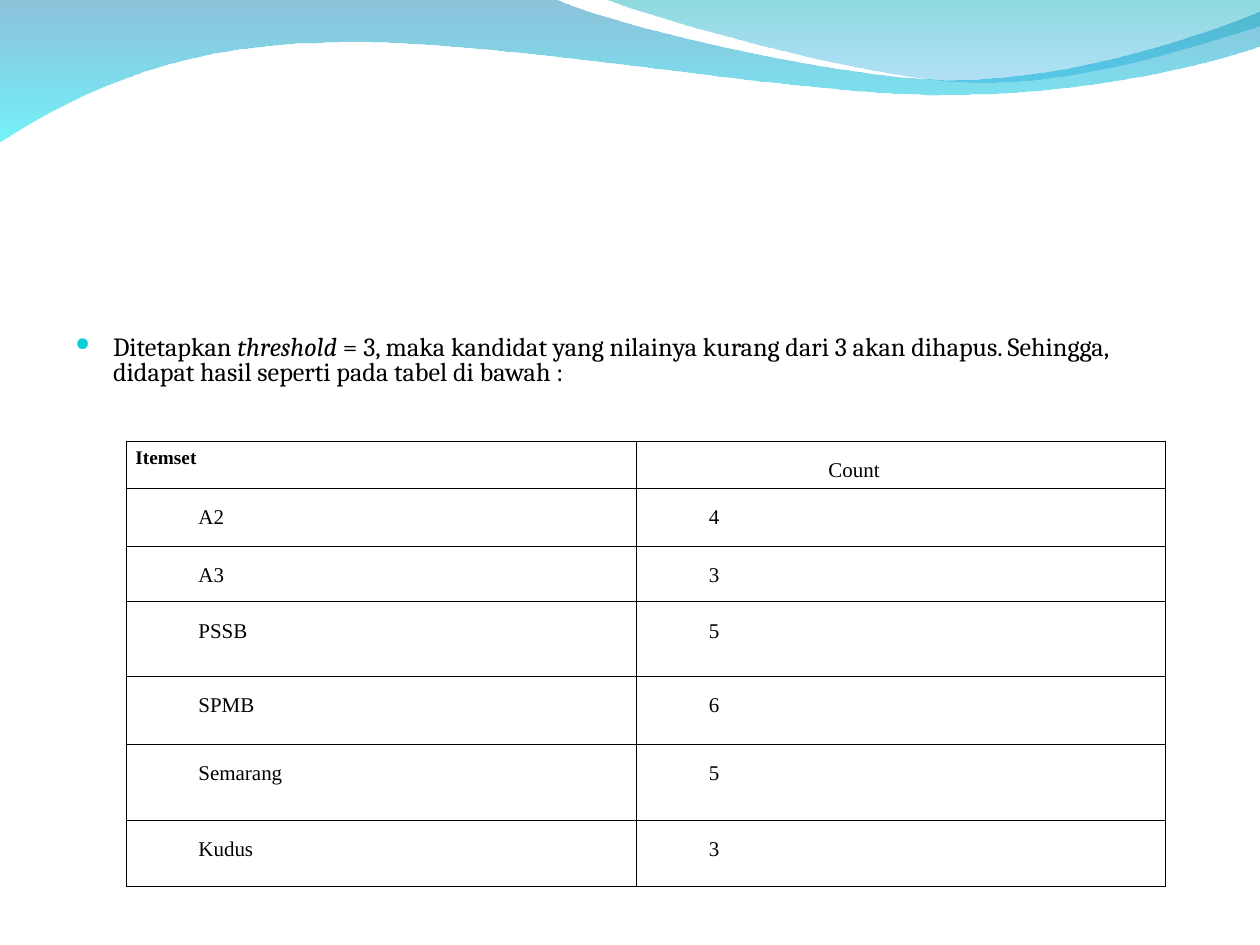
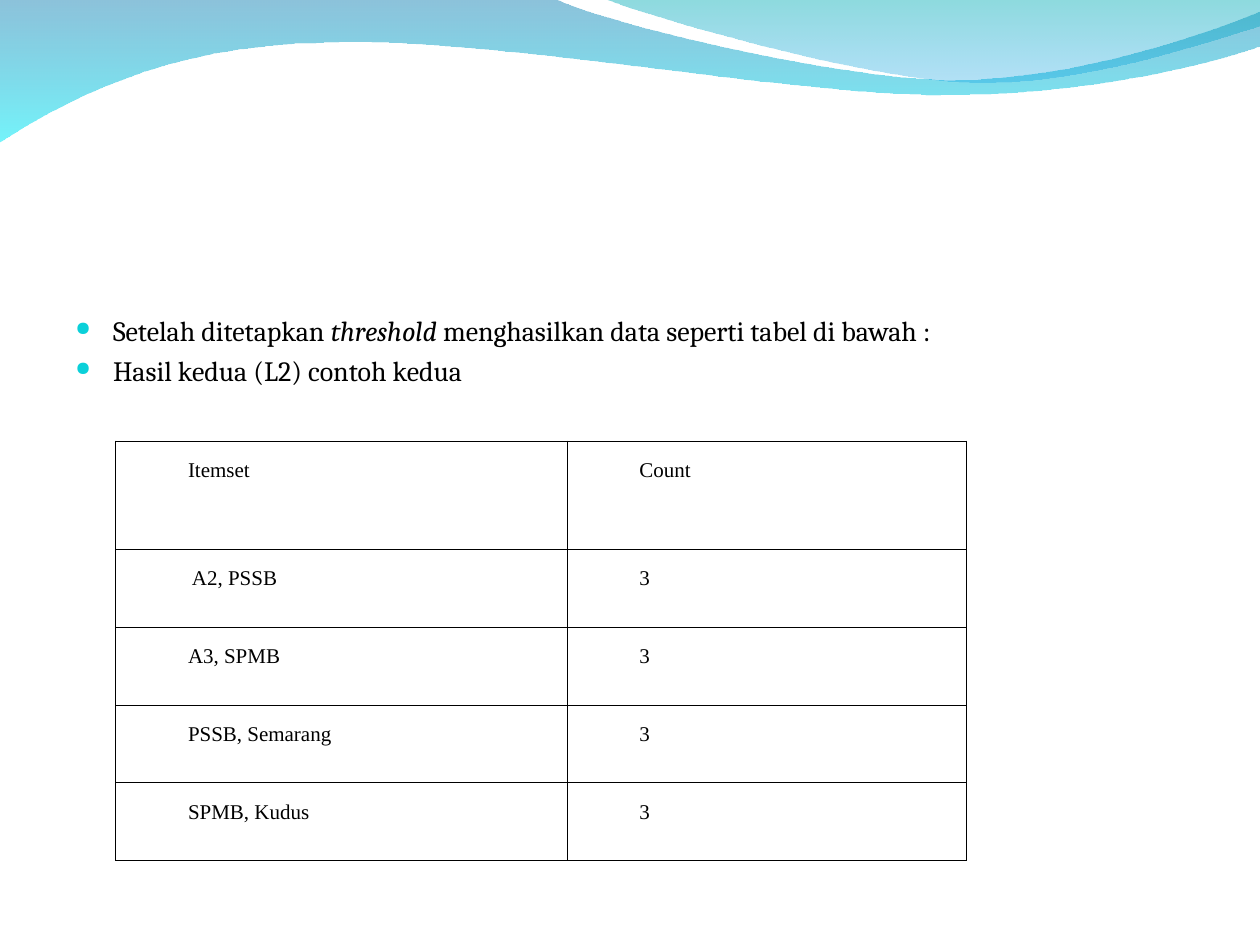
import lxml.etree
import pptx
import pptx.dml.color
import pptx.enum.text
import pptx.oxml.ns
import pptx.util

Cm = pptx.util.Cm
Pt = pptx.util.Pt
qn = pptx.oxml.ns.qn

BLACK = "000000"
BULLET_COLOR = "0BD0D9"
BODY_FONT = "Cambria"
TABLE_FONT = "Times New Roman"

# Each wave: start point, then segments of one point (line) or three points (curve), in cm;
# the gradient runs from top to bottom as (colour, opacity in percent).
WAVES = [
    ((0, -0.03),
     [[(11.18, -0.03)],
      [(12.09, 0.43), (16.87, 1.6), (19.25, 1.6)],
      [(21.67, 1.6), (24.33, 0.66), (25.4, 0.23)],
      [(25.43, 0.91)],
      [(24.97, 1.12), (22.1, 1.93), (18.95, 1.91)],
      [(15.8, 1.91), (9.7, 0.71), (6.53, 0.86)],
      [(3.28, 0.89), (1.17, 2.11), (-0.03, 2.87)],
      [(0, -0.03)]],
     [("0079AF", 45), ("00EBF8", 55)]),
    ((12.17, -0.03),
     [[(12.93, 0.28), (17.32, 1.57), (19.53, 1.65)],
      [(21.74, 1.75), (24.41, 0.81), (25.4, 0.53)],
      [(25.4, 0)],
      [(12.17, -0.03)]],
     [("00ADB6", 45), ("009BE5", 30)]),
]


def color(hex_string):
    return pptx.dml.color.RGBColor.from_string(hex_string)


def add_xml(parent, tag, **attributes):
    return lxml.etree.SubElement(parent, qn(tag), attributes)


def bend_lines(shape, segments):
    """Turn the three lines drawn for each curved segment into one Bezier curve."""
    lines = iter(list(shape._element.iter(qn("a:lnTo"))))
    for segment in segments:
        parts = [next(lines) for _ in segment]
        if len(parts) == 3:
            curve = lxml.etree.Element(qn("a:cubicBezTo"))
            parts[0].addprevious(curve)
            for part in parts:
                curve.append(part[0])
                part.getparent().remove(part)


class Deck:
    def __init__(self):
        self.presentation = pptx.Presentation()
        self.presentation.slide_width = Cm(25.4)
        self.presentation.slide_height = Cm(19.05)
        self.slide = None

    def add_slide(self):
        self.slide = self.presentation.slides.add_slide(self.presentation.slide_layouts[6])

    def move_waves_to_master(self):
        """Draw the waves on the current slide, then move them behind all on the master."""
        master_tree = self.presentation.slide_master.shapes._spTree
        for position, wave in enumerate(WAVES, start=2):
            master_tree.insert(position, self.add_wave(*wave)._element)

    def add_wave(self, start, segments, gradient):
        vertices = [(Cm(x), Cm(y)) for segment in segments for x, y in segment]
        builder = self.slide.shapes.build_freeform(Cm(start[0]), Cm(start[1]))
        builder.add_line_segments(vertices, close=True)
        shape = builder.convert_to_shape()
        bend_lines(shape, segments)
        shape.shadow.inherit = False
        shape.line.fill.background()
        shape.fill.gradient()
        shape.fill.gradient_angle = 270
        for stop, (hex_string, _) in zip(shape.fill.gradient_stops, gradient):
            stop.color.rgb = color(hex_string)
        for position, stop in enumerate(shape.fill.gradient_stops):
            stop.position = position
        for element, (_, opacity) in zip(shape._element.iter(qn("a:srgbClr")), gradient):
            add_xml(element, "a:alpha", val=str(opacity * 1000))
        return shape

    def style_font(self, paragraph, name, size, bold=False):
        font = paragraph.font
        font.name = name
        font.size = Pt(size)
        font.bold = bold
        font.color.rgb = color(BLACK)

    def add_bullets(self, top, height, inset_top, items, size, line_spacing, space_before):
        """Each item is a list of text parts; every second part is italic."""
        box = self.slide.shapes.add_textbox(Cm(1.27), Cm(top), Cm(22.86), Cm(height))
        frame = box.text_frame
        frame.word_wrap = True
        frame.margin_top = Cm(inset_top)
        for index, parts in enumerate(items):
            paragraph = frame.add_paragraph() if index else frame.paragraphs[0]
            paragraph.line_spacing = line_spacing
            paragraph.space_before = Pt(space_before if index else 0)
            properties = paragraph._p.get_or_add_pPr()
            properties.set("marL", str(Cm(0.76)))
            properties.set("indent", str(Cm(-0.76)))
            bullet_color = add_xml(properties, "a:buClr")
            add_xml(bullet_color, "a:srgbClr", val=BULLET_COLOR)
            add_xml(properties, "a:buSzPct", val="70000")
            add_xml(properties, "a:buChar", char="●")
            self.style_font(paragraph, BODY_FONT, size)
            for number, part in enumerate(parts):
                run = paragraph.add_run()
                run.text = part
                if number % 2:
                    run.font.italic = True

    def add_table(self, left, column_widths, row_heights, rows):
        frame = self.slide.shapes.add_table(
            len(rows), len(column_widths), Cm(left), Cm(8.89),
            Cm(sum(column_widths)), Cm(sum(row_heights)))
        table = frame.table
        table.first_row = False
        table.horz_banding = False
        for column, width in zip(table.columns, column_widths):
            column.width = Cm(width)
        for row, height, texts in zip(table.rows, row_heights, rows):
            row.height = Cm(height)
            for cell, text in zip(row.cells, texts):
                self.fill_cell(cell, text)
        return table

    def fill_cell(self, cell, text):
        cell.margin_left = cell.margin_right = Cm(0.19)
        cell.margin_top = cell.margin_bottom = Cm(0.13)
        properties = cell._tc.get_or_add_tcPr()
        for side in ("a:lnL", "a:lnR", "a:lnT", "a:lnB"):
            line = add_xml(properties, side, w=str(Pt(0.45)))
            add_xml(add_xml(line, "a:solidFill"), "a:srgbClr", val=BLACK)
        cell.fill.background()
        cell.text = text
        paragraph = cell.text_frame.paragraphs[0]
        paragraph.alignment = pptx.enum.text.PP_ALIGN.JUSTIFY
        paragraph.line_spacing = 1.5
        self.style_font(paragraph, TABLE_FONT, 12)
        self.indent_cell(cell, 1.27)

    def indent_cell(self, cell, indent):
        properties = cell.text_frame.paragraphs[0]._p.get_or_add_pPr()
        properties.set("marL", str(Cm(indent)))
        properties.set("indent", "0")


def build_threshold_slide(deck):
    deck.add_slide()
    deck.add_bullets(
        5.72, 2.34, 1.06,
        [["Ditetapkan ", "threshold ",
          "= 3, maka kandidat yang nilainya kurang dari 3 akan dihapus. "
          "Sehingga, didapat hasil seperti pada tabel di bawah :"]],
        size=15, line_spacing=0.8, space_before=0)
    table = deck.add_table(
        2.54, [10.29, 10.67], [0.95, 1.17, 1.11, 1.51, 1.37, 1.53, 1.33],
        [("Itemset", "Count"), ("A2", "4"), ("A3", "3"), ("PSSB", "5"),
         ("SPMB", "6"), ("Semarang", "5"), ("Kudus", "3")])
    itemset_header, count_header = table.rows[0].cells
    heading = itemset_header.text_frame.paragraphs[0]
    heading.line_spacing = 1.0
    deck.style_font(heading, TABLE_FONT, 11, bold=True)
    deck.indent_cell(itemset_header, 0)
    deck.indent_cell(count_header, 3.68)
    count_header.margin_bottom = Cm(0.05)


def build_second_result_slide(deck):
    deck.add_slide()
    deck.add_bullets(
        5.38, 2.67, 0.94,
        [["Setelah ditetapkan ", "threshold ", "menghasilkan data seperti tabel di bawah :"],
         ["Hasil kedua (L2) contoh kedua"]],
        size=16, line_spacing=1.0, space_before=3.7)
    table = deck.add_table(
        2.33, [9.1, 8.05], [2.18] + [1.57] * 4,
        [("Itemset", "Count"), ("A2, PSSB", "3"), ("A3, SPMB", "3"),
         ("PSSB, Semarang", "3"), ("SPMB, Kudus", "3")])
    deck.indent_cell(table.cell(1, 0), 1.35)


def main():
    deck = Deck()
    build_threshold_slide(deck)
    deck.move_waves_to_master()
    build_second_result_slide(deck)
    deck.presentation.save("out.pptx")


if __name__ == "__main__":
    main()
